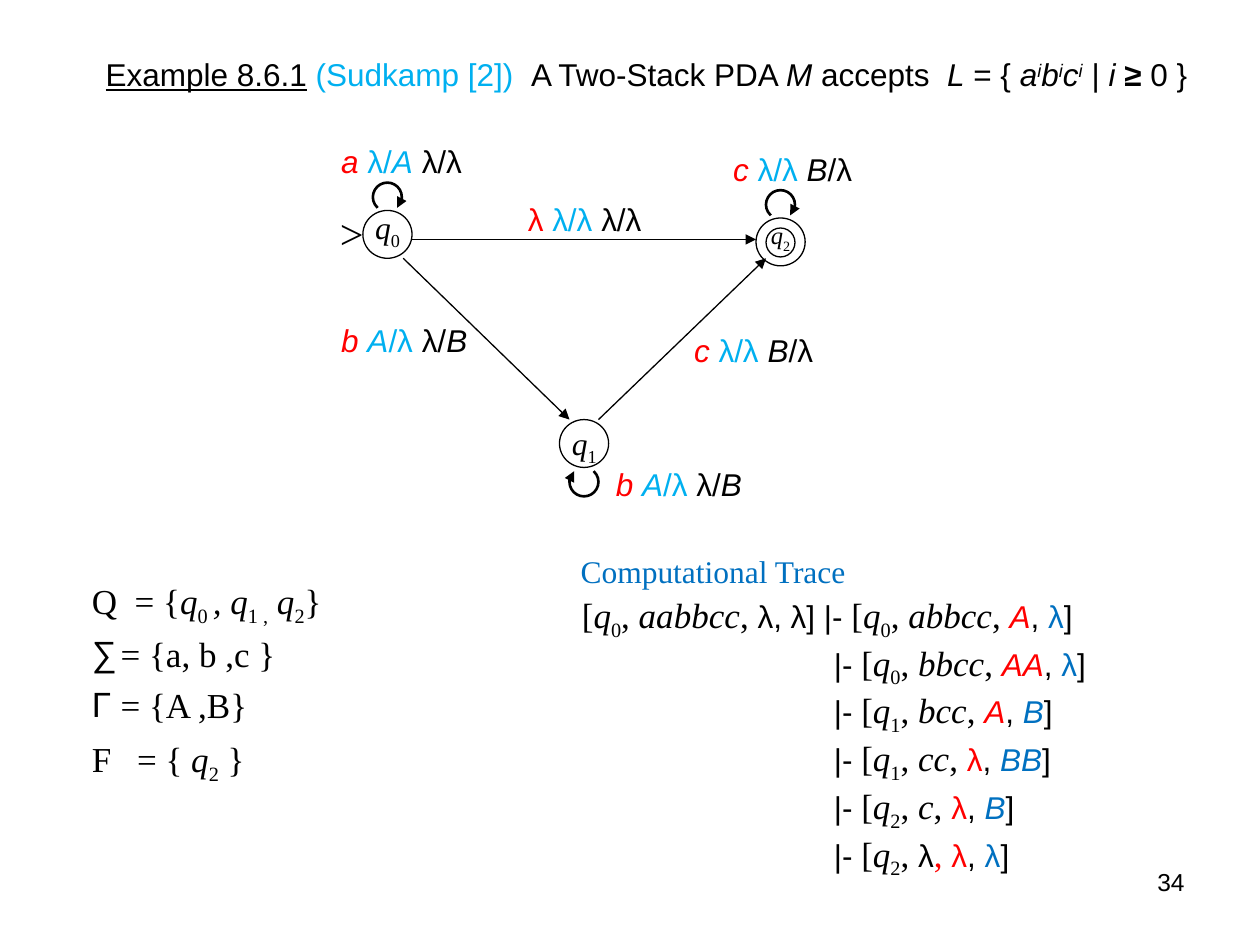
from itertools import groupby

from lxml import etree
from pptx import Presentation
from pptx.dml.color import RGBColor
from pptx.enum.shapes import MSO_CONNECTOR, MSO_SHAPE
from pptx.enum.text import PP_ALIGN
from pptx.oxml.ns import qn
from pptx.util import Inches, Pt

STRAIGHT = MSO_CONNECTOR.STRAIGHT
OVAL, ARC = MSO_SHAPE.OVAL, MSO_SHAPE.ARC
RIGHT = PP_ALIGN.RIGHT
COLORS = {"black": "000000", "red": "FF0000", "sky": "00B0F0", "blue": "0070C0"}
SANS = {"name": "Arial", "size": Pt(18)}
SERIF = {"name": "Times New Roman", "size": Pt(18)}
MATH = SERIF | {"size": Pt(20)}
ITALIC, BOLD, UNDERLINE = {"italic": True}, {"bold": True}, {"underline": True}
SUB, SUPER = {"baseline": -25}, {"baseline": 30}
RED, SKY, BLUE = ({"color": name} for name in ("red", "sky", "blue"))


def add_runs(para, base, runs):
    """Write (text, format) runs into a paragraph on top of a base format."""
    for text, extra in runs:
        span = para.add_run()
        span.text = text
        values = {"color": "black"} | base | extra
        span.font.color.rgb = RGBColor.from_string(COLORS[values.pop("color")])
        baseline = values.pop("baseline", 0)
        for key, value in values.items():
            setattr(span.font, key, value)
        if baseline:
            span._r.get_or_add_rPr().set("baseline", str(baseline * 1000))


def add_text(shapes, left, top, width, height, base, lines):
    """Add a wrapping text box with one list of runs per line; return its paragraphs."""
    box = shapes.add_textbox(Inches(left), Inches(top), Inches(width), Inches(height))
    frame = box.text_frame
    frame.word_wrap = True
    for index, runs in enumerate(lines):
        para = frame.add_paragraph() if index else frame.paragraphs[0]
        add_runs(para, base, runs)
    return frame.paragraphs


def symbol_runs(text, style):
    """Split text into runs, with Latin letters in italics."""
    groups = groupby(text, lambda char: char.isascii() and char.isalpha())
    return [("".join(chars), style | {"italic": letters}) for letters, chars in groups]


def style_line(shape, width, arrow):
    """Give a shape or connector a black line, with an arrowhead if wanted."""
    shape.line.color.rgb = RGBColor.from_string(COLORS["black"])
    shape.line.width = Pt(width)
    if arrow:
        line = shape.element.spPr.find(qn("a:ln"))
        etree.SubElement(line, qn("a:tailEnd"), type="triangle")


def add_outline(shapes, kind, left, top, size, width=0.74, angles=None):
    """Add an unfilled circle, or an arrowed arc between two angles in degrees."""
    outline = shapes.add_shape(kind, Inches(left), Inches(top),
                               Inches(size[0]), Inches(size[1]))
    outline.shadow.inherit = False
    outline.fill.background()
    for index, angle in enumerate(angles or ()):
        outline.adjustments[index] = angle * 0.6
    style_line(outline, width, bool(angles))


def add_arrow(shapes, start, end):
    """Add a straight arrow between two points."""
    arrow = shapes.add_connector(STRAIGHT, *map(Inches, start + end))
    style_line(arrow, 0.74, True)
    etree.SubElement(arrow.element.spPr, qn("a:effectLst"))


def add_diagram(page, left, top):
    """Draw the state diagram from its top left corner."""
    shapes = page.shapes.add_group_shape().shapes
    states = [("0", 0.46, 0.59, 0, -0.07, 18), ("1", 2.02, 2.25, 0, -0.01, 18),
              ("2", 3.58, 0.65, 0.02, -0.03, 14)]
    for number, x, y, shift_x, shift_y, size in states:
        add_outline(shapes, OVAL, left + x, top + y, (0.39, 0.38))
        add_text(shapes, left + x + shift_x, top + y + shift_y, 0.47, 0.44,
                 SERIF | {"size": Pt(size)}, [[("q", ITALIC), (number, SUB)]])
    add_outline(shapes, OVAL, left + 3.66, top + 0.73, (0.23, 0.23))
    add_text(shapes, left + 0.18, top + 0.52, 0.5, 0.5,
             SERIF | {"size": Pt(24)}, [[(">", {})]])

    above, below = (132, 48), (312, 228)
    for x, y, angles in [(0.54, 0.37, above), (3.66, 0.43, above), (2.1, 2.63, below)]:
        add_outline(shapes, ARC, left + x, top + y, (0.23, 0.23), 1.5, angles)

    arrows = [((0.85, 0.82), (3.58, 0.82)), ((0.78, 0.97), (2.1, 2.25)),
              ((2.33, 2.25), (3.66, 0.97))]
    for start, end in arrows:
        add_arrow(shapes, *[(left + x, top + y) for x, y in (start, end)])

    labels = [(0.19, 0, "a", "λ/A", "λ/λ"), (3.3, 0.06, "c", "λ/λ", "B/λ"),
              (1.67, 0.46, "λ", "λ/λ", "λ/λ"), (0.19, 1.42, "b", "A/λ", "λ/B"),
              (2.99, 1.5, "c", "λ/λ", "B/λ"), (2.37, 2.56, "b", "A/λ", "λ/B")]
    for x, y, read, first, second in labels:
        runs = (symbol_runs(read + " ", RED) + symbol_runs(first + " ", SKY)
                + symbol_runs(second, {}))
        add_text(shapes, left + x, top + y, 1.45, 0.4, SANS, [runs])


def add_title(page, left, top):
    """Write the example heading."""
    powers = [run for letter in "abc" for run in ((letter, ITALIC), ("i", ITALIC | SUPER))]
    runs = [("Example 8.6.1", UNDERLINE), (" ", {}), ("(Sudkamp [2])  ", SKY),
            ("A Two-Stack PDA ", {}), ("M", ITALIC), (" accepts  ", {}), ("L", ITALIC),
            (" = { ", {}), *powers, (" | ", {}), ("i ", ITALIC), ("≥", BOLD), (" 0 }", {})]
    add_text(page.shapes, left, top, 9, 0.4, SANS, [runs])


def configuration(state, rest, first, second):
    """Return the runs of one machine configuration."""
    halted = rest == "λ"
    return [("[", {}), ("q", ITALIC), (state, SUB), (", ", {}),
            (rest, SANS if halted else ITALIC), (", ", RED if halted else {}),
            *symbol_runs(first, SANS | RED), (", ", SANS),
            *symbol_runs(second, SANS | BLUE), ("]", SANS)]


def add_trace(page, left, top):
    """Write the computational trace and its heading."""
    add_text(page.shapes, left, top, 2.4, 0.4, SERIF | BLUE,
             [[("Computational Trace", {})]])
    steps = [("0", "abbcc", "A", "λ"), ("0", "bbcc", "AA", "λ"), ("1", "bcc", "A", "B"),
             ("1", "cc", "λ", "BB"), ("2", "c", "λ", "B"), ("2", "λ", "λ", "λ")]
    lines = [[("|- ", SANS)] + configuration(*step) for step in steps]
    lines[0] = [("[", {}), ("q", ITALIC), ("0", SUB), (", ", {}), ("aabbcc", ITALIC),
                (", ", {}), ("λ, λ] ", SANS)] + lines[0]
    paras = add_text(page.shapes, left + 0.01, top + 0.33, 4.4, 2.38, MATH, lines)
    for para in paras[1:]:
        para._p.get_or_add_pPr().set("marL", str(Inches(2)))


def add_definitions(page, left, top):
    """List the state set, the alphabets and the final states."""
    lines = [[("Q\t= {", {}), ("q", ITALIC), ("0 ", SUB), (", q", ITALIC), ("1 ,", SUB),
              (" q", ITALIC), ("2", SUB), ("}", {})],
             [("= {a, b ,c }", {})], [("= {A ,B}", {})],
             [("F\t= {", {}), (" q", ITALIC), ("2", SUB), (" }", {})]]
    paras = add_text(page.shapes, left, top, 3.58, 2.12, MATH, lines)
    for para, bullet, gap in zip(paras, ("", "∑", "Γ", ""), (0.34, 0.23, 0.23, 0.36)):
        para.line_spacing = 0.95
        para.space_before = Pt(6.2)
        properties = para._p.get_or_add_pPr()
        if bullet:
            properties.set("marL", str(Inches(gap)))
            properties.set("indent", str(-Inches(gap)))
            etree.SubElement(properties, qn("a:buFont"), typeface="Arial")
            etree.SubElement(properties, qn("a:buChar"), char=bullet)
        else:
            stops = etree.SubElement(properties, qn("a:tabLst"))
            etree.SubElement(stops, qn("a:tab"), pos=str(Inches(gap)), algn="l")


def add_page_number(page, left, top):
    """Write the right-aligned page number."""
    paras = add_text(page.shapes, left, top, 2.33, 0.52,
                     SANS | {"size": Pt(14)}, [[("34", {})]])
    paras[0].alignment = RIGHT


deck = Presentation()
deck.slide_width, deck.slide_height = Inches(10), Inches(7.5)
page = deck.slides.add_slide(deck.slide_layouts[6])
add_title(page, 0.74, 0.39)
add_diagram(page, 2.42, 1.08)
add_trace(page, 4.51, 4.33)
add_page_number(page, 7.17, 6.83)
add_definitions(page, 0.63, 4.55)
deck.save("out.pptx")
